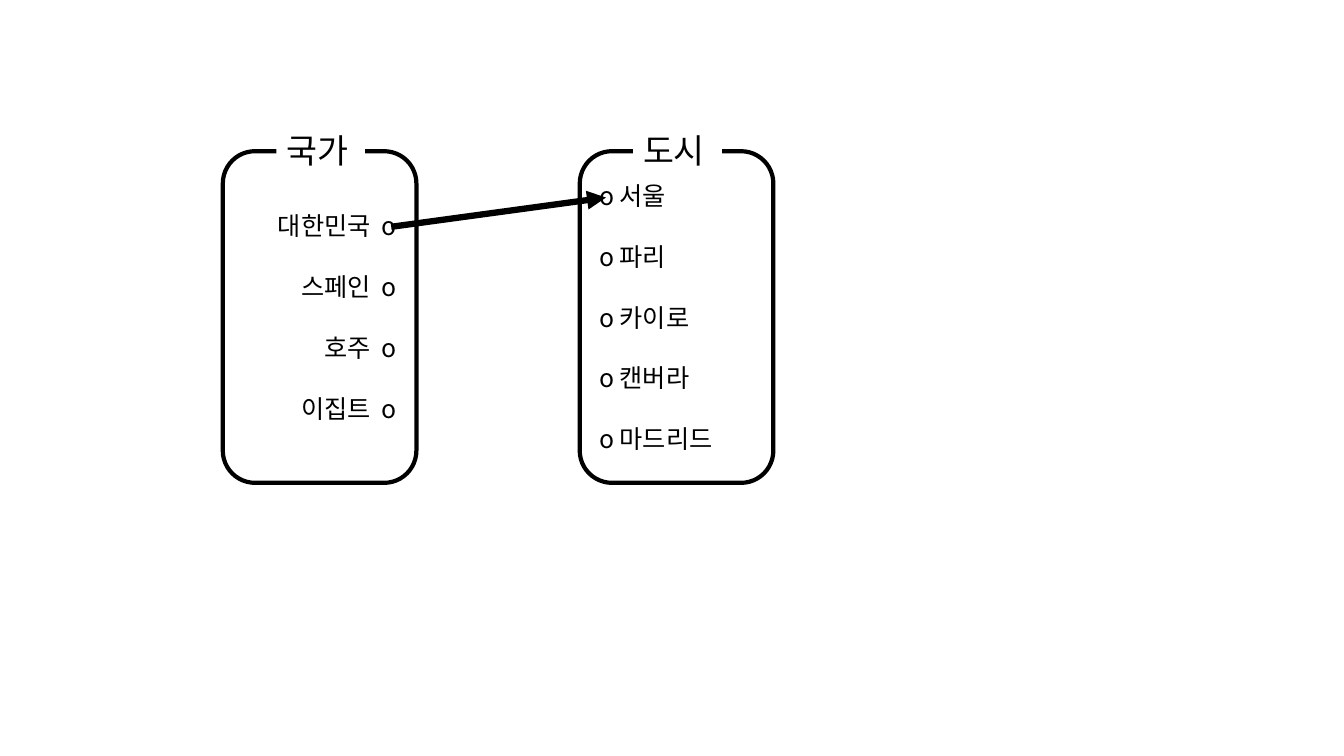
"""Build a slide that maps countries to their capital cities."""
from dataclasses import dataclass

from lxml import etree
from pptx import Presentation
from pptx import util as u
from pptx.dml.color import RGBColor
from pptx.enum import shapes, text
from pptx.oxml import ns

BLACK = RGBColor(0x00, 0x00, 0x00)
WHITE = RGBColor(0xFF, 0xFF, 0xFF)
FONT = "Noto Sans CJK KR"
GROUP_TOP, GROUP_WIDTH, GROUP_HEIGHT = 1.5, 1.92, 3.29
HEADING_OFFSET, HEADING_TOP, HEADING_WIDTH, HEADING_HEIGHT = 0.53, 1.24, 0.88, 0.5
LINE_PITCH = u.Pt(21.7)


@dataclass(frozen=True)
class Group:
    heading: str
    left: float
    entries: tuple[str, ...]
    alignment: text.PP_ALIGN


GROUPS = (
    Group("국가", 2.21, ("대한민국  ο", "스페인  ο", "호주  ο", "이집트  ο"),
          text.PP_ALIGN.RIGHT),
    Group("도시", 5.75, ("ο 서울", "ο 파리", "ο 카이로", "ο 캔버라", "ο 마드리드"),
          text.PP_ALIGN.LEFT),
)


def format_runs(paragraph, size: float) -> None:
    for run in paragraph.runs:
        run.font.size = u.Pt(size)
        run.font.name = FONT
        run.font.color.rgb = BLACK
        properties = run._r.get_or_add_rPr()
        etree.SubElement(properties, ns.qn("a:ea"), typeface=FONT)


def draw_group(slide, group: Group) -> None:
    shape = slide.shapes.add_shape(
        shapes.MSO_SHAPE.ROUNDED_RECTANGLE, u.Inches(group.left),
        u.Inches(GROUP_TOP), u.Inches(GROUP_WIDTH), u.Inches(GROUP_HEIGHT))
    shape.shadow.inherit = False
    shape.fill.background()
    shape.line.color.rgb = BLACK
    shape.line.width = u.Pt(3)
    frame = shape.text_frame
    frame.vertical_anchor = text.MSO_ANCHOR.MIDDLE
    frame.text = "\n".join(group.entries)
    for index, paragraph in enumerate(frame.paragraphs):
        paragraph.alignment = group.alignment
        paragraph.line_spacing = LINE_PITCH
        if index:
            paragraph.space_before = LINE_PITCH
        format_runs(paragraph, 18)


def draw_heading(slide, group: Group) -> None:
    shape = slide.shapes.add_textbox(
        u.Inches(group.left + HEADING_OFFSET), u.Inches(HEADING_TOP),
        u.Inches(HEADING_WIDTH), u.Inches(HEADING_HEIGHT))
    shape.fill.solid()
    shape.fill.fore_color.rgb = WHITE
    shape.text_frame.word_wrap = False
    shape.text_frame.text = group.heading
    format_runs(shape.text_frame.paragraphs[0], 24)


def draw_arrow(slide, start: tuple[float, float], end: tuple[float, float]) -> None:
    arrow = slide.shapes.add_connector(
        shapes.MSO_CONNECTOR.STRAIGHT, *map(u.Inches, start + end))
    arrow.line.color.rgb = BLACK
    arrow.line.width = u.Pt(4.5)
    etree.SubElement(arrow.line._get_or_add_ln(), ns.qn("a:tailEnd"), type="triangle")
    etree.SubElement(arrow._element.spPr, ns.qn("a:effectLst"))


def main() -> None:
    presentation = Presentation()
    presentation.slide_width = u.Inches(13.33)
    presentation.slide_height = u.Inches(7.5)
    slide = presentation.slides.add_slide(presentation.slide_layouts[6])
    for group in GROUPS:
        draw_group(slide, group)
        draw_heading(slide, group)
    draw_arrow(slide, (3.88, 2.25), (6.01, 1.96))
    presentation.save("out.pptx")


if __name__ == "__main__":
    main()
